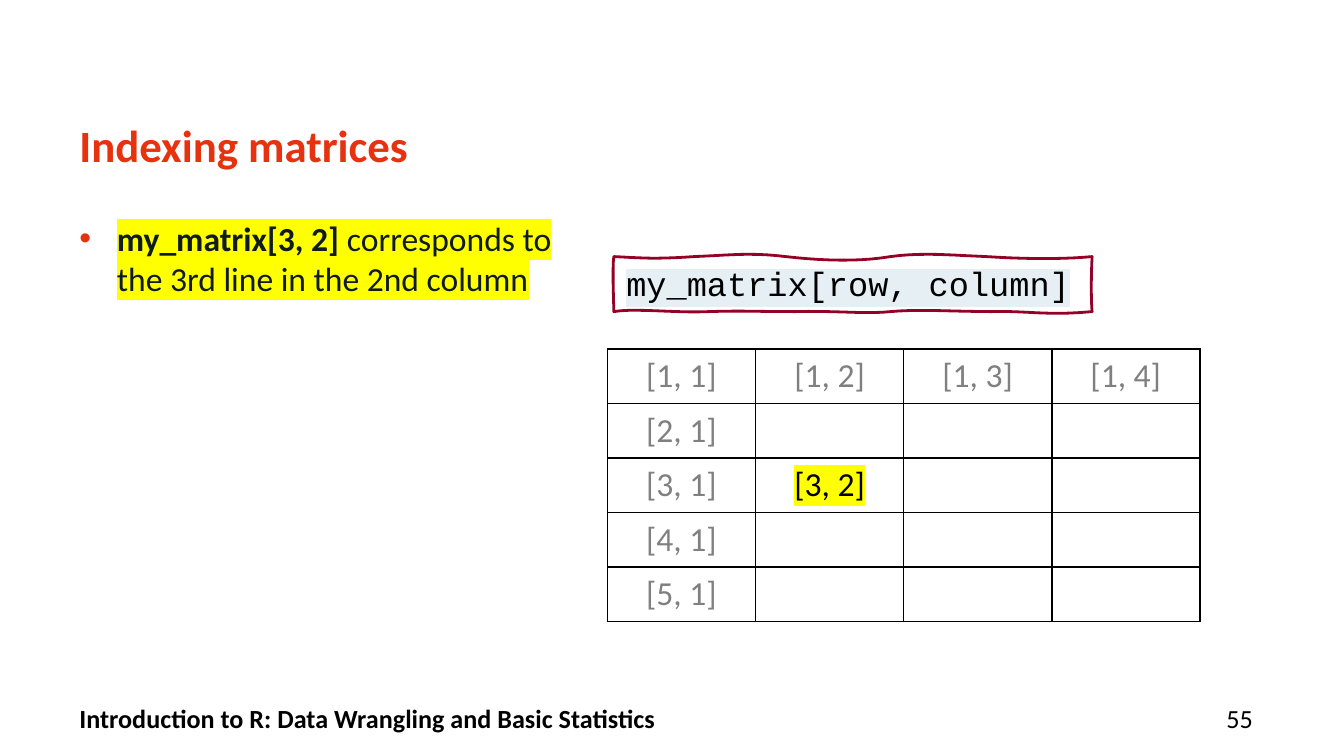
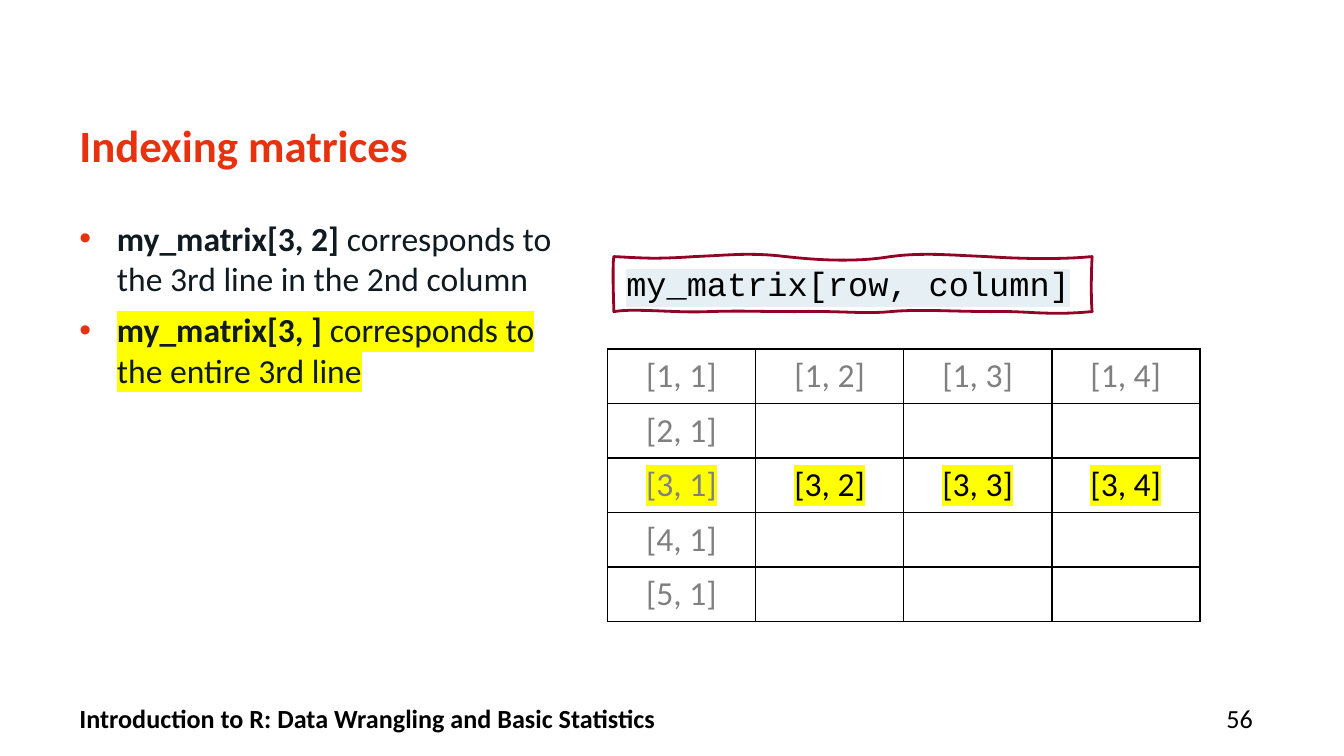
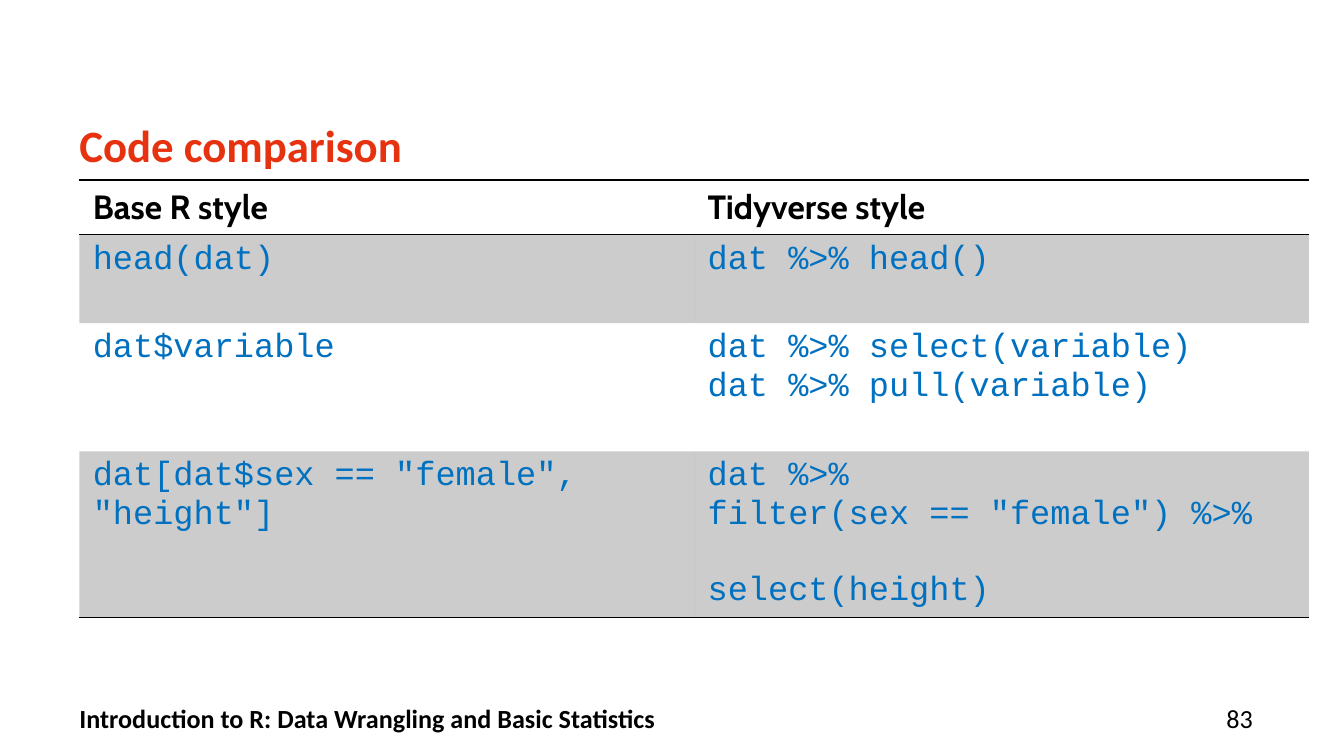
from dataclasses import dataclass

from lxml import etree
from pptx import Presentation
from pptx.dml.color import RGBColor
from pptx.enum.text import MSO_ANCHOR, MSO_AUTO_SIZE, PP_ALIGN
from pptx.oxml.ns import qn
from pptx.util import Cm, Pt

LEFT, CENTER, RIGHT = PP_ALIGN.LEFT, PP_ALIGN.CENTER, PP_ALIGN.RIGHT
TOP, MIDDLE = MSO_ANCHOR.TOP, MSO_ANCHOR.MIDDLE
NO_AUTOFIT, GROW = MSO_AUTO_SIZE.NONE, MSO_AUTO_SIZE.SHAPE_TO_FIT_TEXT
TITLE_AND_BODY, TITLE_ONLY = 1, 5
SIDES = ("L", "R", "T", "B")


@dataclass(frozen=True)
class Theme:
    accent: str = "E6320F"
    body: str = "0F1B20"
    black: str = "000000"
    muted: str = "808080"
    code: str = "0070C0"
    frame: str = "940126"
    marker: str = "FFFF00"
    code_back: str = "E6EFF3"
    font: str = "Calibri"
    head_font: str = "Cabin"
    mono: str = "Courier New"
    title_size: int = 24
    text_size: int = 18
    footer_size: int = 14
    left: float = 1.5


T = Theme()
FOOTER = "Introduction to R: Data Wrangling and Basic Statistics"
ROWS, COLS = 5, 4
ELEMENT = ("my_matrix[3, 2] ", "corresponds to the 3rd line in the 2nd column")
WHOLE_ROW = ("my_matrix[3, ] ", "corresponds to the entire 3rd line")

# Cubic curves of the hand-drawn frame, in cm: two control points and an end.
FRAME_CURVES = [
    ((0.58, 0.03), (0.79, 0.05), (1.52, 0)),
    ((2.26, -0.03), (2.57, -0.08), (3.25, 0)),
    ((3.94, 0.08), (4.65, 0.1), (5.23, 0)),
    ((5.84, -0.08), (6.3, -0.03), (7.04, 0)),
    ((7.8, 0.05), (8.53, 0.05), (9.04, 0)),
    ((9.02, 0.36), (9.02, 0.84), (9.04, 1.04)),
    ((8.2, 1.12), (7.77, 1.02), (7.14, 1.04)),
    ((6.5, 1.04), (5.74, 0.99), (5.23, 1.04)),
    ((4.72, 1.09), (4.27, 1.02), (3.43, 1.04)),
    ((2.62, 1.04), (2.44, 1.02), (1.8, 1.04)),
    ((1.19, 1.07), (0.38, 0.97), (0, 1.04)),
    ((0, 0.84), (-0.03, 0.25), (0, 0)),
]

COMPARISON = [
    (["head(dat)"], ["dat %>% head()"]),
    (["dat$variable"], ["dat %>% select(variable)", "dat %>% pull(variable)"]),
    (['dat[dat$sex == "female", "height"]'],
     ["dat %>%", 'filter(sex == "female") %>%', "select(height)"]),
]


def rgb(color):
    return RGBColor.from_string(color)


def add_run(p, text, color, size=T.text_size, font=T.font, bold=False, highlight=None):
    r = p.add_run()
    r.text = text
    r.font.size, r.font.bold, r.font.name = Pt(size), bold, font
    r.font.color.rgb = rgb(color)
    if highlight:
        mark = etree.Element(qn("a:highlight"))
        etree.SubElement(mark, qn("a:srgbClr"), val=highlight)
        r.font._element.find(qn("a:solidFill")).addnext(mark)


def place(sp, x, y, w, h):
    sp.left, sp.top, sp.width, sp.height = Cm(x), Cm(y), Cm(w), Cm(h)


def set_frame(tf, anchor=TOP, wrap=True):
    """Give a text frame no margins and a fixed size."""
    tf.margin_left = tf.margin_right = tf.margin_top = tf.margin_bottom = 0
    tf.auto_size, tf.word_wrap, tf.vertical_anchor = NO_AUTOFIT, wrap, anchor


def add_footer_text(s, x, w, text, align, bold=False):
    tf = s.shapes.add_textbox(Cm(x), Cm(13.3), Cm(w), Cm(0.56)).text_frame
    set_frame(tf, MIDDLE)
    p = tf.paragraphs[0]
    p.alignment = align
    add_run(p, text, T.black, T.footer_size, bold=bold)


def add_slide(prs, layout, title, number):
    s = prs.slides.add_slide(prs.slide_layouts[layout])
    sp = s.shapes.title
    place(sp, T.left, 2.18, 22.18, 1.73)
    set_frame(sp.text_frame, wrap=False)
    p = sp.text_frame.paragraphs[0]
    p.alignment, p.line_spacing = LEFT, Pt(30)
    add_run(p, title, T.accent, T.title_size, bold=True)
    add_footer_text(s, T.left, 19.1, FOOTER, LEFT, bold=True)
    add_footer_text(s, 21.42, 2.26, str(number), RIGHT)
    return s


def add_bullet(p):
    pPr = p._p.get_or_add_pPr()
    pPr.set("marL", str(Cm(0.71)))
    pPr.set("indent", str(-Cm(0.71)))
    color = etree.SubElement(pPr, qn("a:buClr"))
    etree.SubElement(color, qn("a:srgbClr"), val=T.accent)
    etree.SubElement(pPr, qn("a:buFont"), typeface="Arial")
    etree.SubElement(pPr, qn("a:buChar"), char="•")


def fill_body(s, items):
    """List (code, meaning) pairs and highlight the last one."""
    sp = s.placeholders[1]
    place(sp, T.left, 4.11, 8.94, 8.66)
    tf = sp.text_frame
    set_frame(tf)
    for i, (code, meaning) in enumerate(items):
        p = tf.add_paragraph() if i else tf.paragraphs[0]
        add_bullet(p)
        p.alignment, p.space_before, p.space_after = LEFT, Pt(0), Pt(6)
        mark = T.marker if i == len(items) - 1 else None
        add_run(p, code, T.body, bold=True, highlight=mark)
        add_run(p, meaning, T.body, highlight=mark)


def frame_points(steps=10):
    points, start = [], (0, 0)
    for a, b, end in FRAME_CURVES:
        for t in (i / steps for i in range(1, steps + 1)):
            u = 1 - t
            points.append(tuple(
                Cm(u**3 * p0 + 3 * u * u * t * p1 + 3 * u * t * t * p2 + t**3 * p3)
                for p0, p1, p2, p3 in zip(start, a, b, end)))
        start = end
    return points


def add_syntax_frame(s):
    builder = s.shapes.build_freeform(0, 0)
    builder.add_line_segments(frame_points(), close=True)
    sp = builder.convert_to_shape(Cm(11.6), Cm(4.85))
    sp.shadow.inherit = False
    sp.fill.background()
    sp.line.color.rgb, sp.line.width = rgb(T.frame), Pt(1.5)
    tf = sp.text_frame
    tf.word_wrap, tf.auto_size, tf.vertical_anchor = False, GROW, TOP
    tf.margin_top = Cm(0.17)
    p = tf.paragraphs[0]
    p.alignment = LEFT
    add_run(p, "my_matrix[row, column]", T.black, font=T.mono, highlight=T.code_back)


def set_borders(cell, lined):
    """Draw the sides named in lined and clear the others."""
    tcPr = cell._tc.get_or_add_tcPr()
    for i, side in enumerate(SIDES):
        ln = etree.Element(qn(f"a:ln{side}"), w=str(Pt(1)))
        if side in lined:
            fill = etree.SubElement(ln, qn("a:solidFill"))
            etree.SubElement(fill, qn("a:srgbClr"), val=T.black)
        else:
            etree.SubElement(ln, qn("a:noFill"))
        tcPr.insert(i, ln)


def shade(cell):
    cell.fill.solid()
    cell.fill.fore_color.rgb = rgb(T.black)
    color = cell._tc.tcPr.find(qn("a:solidFill")).find(qn("a:srgbClr"))
    etree.SubElement(color, qn("a:alpha"), val="20000")


def add_plain_table(s, x, y, widths, heights):
    table = s.shapes.add_table(len(heights), len(widths), Cm(x), Cm(y),
                               Cm(sum(widths)), Cm(sum(heights))).table
    table.first_row = table.horz_banding = False
    for column, w in zip(table.columns, widths):
        column.width = Cm(w)
    for row, h in zip(table.rows, heights):
        row.height = Cm(h)
    for cell in table.iter_cells():
        cell.fill.background()
    return table


def add_index_table(s, selected):
    """Label the first row, the first column and the selected cells."""
    table = add_plain_table(s, 11.48, 6.6, [2.8] * COLS, [1.03] * ROWS)
    for row in range(1, ROWS + 1):
        for col in range(1, COLS + 1):
            cell = table.cell(row - 1, col - 1)
            set_borders(cell, SIDES)
            cell.vertical_anchor = MIDDLE
            p = cell.text_frame.paragraphs[0]
            p.alignment = CENTER
            edge, chosen = 1 in (row, col), (row, col) in selected
            if edge or chosen:
                add_run(p, f"[{row}, {col}]", T.muted if edge else T.black,
                        highlight=T.marker if chosen else None)


def add_comparison_table(s):
    table = add_plain_table(s, T.left, 3.4, [11.62] * 2, [1.03, 1.68, 2.42, 3.14])
    for cell, text in zip(table.rows[0].cells, ("Base R style", "Tidyverse style")):
        set_borders(cell, "TB")
        add_run(cell.text_frame.paragraphs[0], text, T.black, font=T.head_font, bold=True)
    for i, codes in enumerate(COMPARISON, 1):
        for cell, lines in zip(table.rows[i].cells, codes):
            if i % 2:
                shade(cell)
            set_borders(cell, {1: "T", len(COMPARISON): "B"}.get(i, ""))
            tf = cell.text_frame
            for j, line in enumerate(lines):
                p = tf.add_paragraph() if j else tf.paragraphs[0]
                if line == "select(height)":
                    p.space_before = Pt(20.4)
                add_run(p, line, T.code, font=T.mono)


def add_matrix_slide(prs, number, items, selected):
    s = add_slide(prs, TITLE_AND_BODY, "Indexing matrices", number)
    fill_body(s, items)
    add_index_table(s, selected)
    add_syntax_frame(s)


def main():
    prs = Presentation()
    prs.slide_width, prs.slide_height = Cm(25.4), Cm(14.29)
    add_matrix_slide(prs, 55, [ELEMENT], [(3, 2)])
    add_matrix_slide(prs, 56, [ELEMENT, WHOLE_ROW], [(3, c) for c in range(1, COLS + 1)])
    add_comparison_table(add_slide(prs, TITLE_ONLY, "Code comparison", 83))
    prs.save("out.pptx")


if __name__ == "__main__":
    main()
